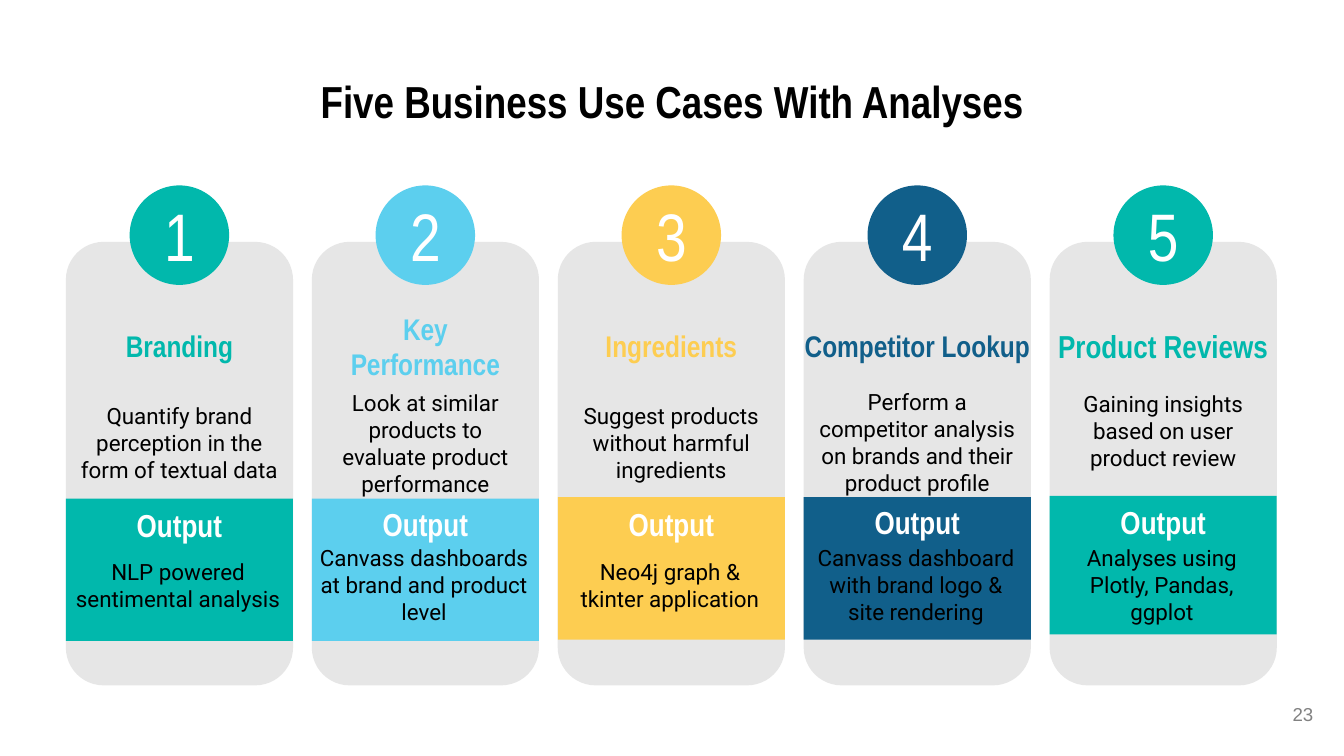
"""Build the slide of five business use cases with their outputs."""
from dataclasses import dataclass

from pptx import Presentation
from pptx.dml.color import RGBColor
from pptx.enum.shapes import MSO_SHAPE as Preset
from pptx.enum.text import MSO_ANCHOR as Anchor, MSO_AUTO_SIZE as AutoSize, PP_ALIGN as Align
from pptx.slide import Slide
from pptx.text.text import TextFrame
from pptx.util import Inches, Pt

TEAL = RGBColor(0x01, 0xB8, 0xAC)
SKY = RGBColor(0x5C, 0xCF, 0xEE)
YELLOW = RGBColor(0xFD, 0xCD, 0x51)
NAVY = RGBColor(0x11, 0x5F, 0x8A)
CARD_GREY = RGBColor(0xE6, 0xE6, 0xE6)
NUMBER_GREY = RGBColor(0x81, 0x81, 0x81)
BLACK = RGBColor(0, 0, 0)
WHITE = RGBColor(0xFF, 0xFF, 0xFF)

HEADING_FONT = "Arial Narrow"
BODY_FONT = "Roboto"
CARD_LEFT = 0.49
CARD_PITCH = 1.83
CARD_WIDTH = 1.69
CIRCLE_SIZE = 0.74


@dataclass(frozen=True)
class UseCase:
    """One column of the slide."""
    name: str
    purpose: str
    output: str
    color: RGBColor
    name_size: int = 16
    name_width: float = CARD_WIDTH
    purpose_height: float = 0.81
    band_top: float = 3.7
    band_height: float = 1.06
    output_top: float = 3.76


USE_CASES = (
    UseCase("Branding", "Quantify brand perception in the form of textual data",
            "NLP powered sentimental analysis", TEAL, band_top=3.71, output_top=3.77),
    UseCase("Key Performance", "Look at similar products to evaluate product performance",
            "Canvass dashboards at brand and product level", SKY, band_top=3.71),
    UseCase("Ingredients", "Suggest products without harmful ingredients",
            "Neo4j graph & tkinter application", YELLOW),
    UseCase("Competitor Lookup",
            "Perform a competitor analysis on brands and their product profile",
            "Canvass dashboard with brand logo & site rendering", NAVY,
            name_width=1.94, purpose_height=0.8, output_top=3.75),
    UseCase("Product Reviews", "Gaining insights based on user product review",
            "Analyses using Plotly, Pandas, ggplot", TEAL, name_size=17, name_width=1.77,
            purpose_height=0.63, band_top=3.69, band_height=1.03, output_top=3.75),
)


def write(frame: TextFrame, text: str, size: int, font: str, color: RGBColor,
          bold: bool = False, align: Align = Align.CENTER, inset: float = 0.05,
          anchor: Anchor = Anchor.MIDDLE) -> None:
    """Fill a text frame with one styled paragraph."""
    frame.word_wrap = True
    frame.auto_size = AutoSize.NONE
    frame.vertical_anchor = anchor
    frame.margin_left = frame.margin_right = Inches(0.1)
    frame.margin_top = frame.margin_bottom = Inches(inset)
    paragraph = frame.paragraphs[0]
    paragraph.text = text
    paragraph.alignment = align
    paragraph.font.name = font
    paragraph.font.size = Pt(size)
    paragraph.font.bold = bold
    paragraph.font.color.rgb = color


def add_label(slide: Slide, center: float, top: float, width: float, height: float,
              text: str, size: int, font: str, color: RGBColor, bold: bool = False) -> None:
    """Add a text box centred on a vertical axis."""
    label = slide.shapes.add_textbox(
        Inches(center - width / 2), Inches(top), Inches(width), Inches(height))
    write(label.text_frame, text, size, font, color, bold)


def add_block(slide: Slide, preset: Preset, center: float, top: float,
              width: float, height: float, color: RGBColor) -> None:
    """Add a plain filled shape centred on a vertical axis."""
    block = slide.shapes.add_shape(
        preset, Inches(center - width / 2), Inches(top), Inches(width), Inches(height))
    block.shadow.inherit = False
    block.fill.solid()
    block.fill.fore_color.rgb = color
    block.line.fill.background()


def add_use_case(slide: Slide, index: int, case: UseCase) -> None:
    """Draw the card, band, number and texts of one use case."""
    center = CARD_LEFT + index * CARD_PITCH + CARD_WIDTH / 2
    add_block(slide, Preset.ROUNDED_RECTANGLE, center, 1.8, CARD_WIDTH, 3.3, CARD_GREY)
    add_block(slide, Preset.RECTANGLE, center, case.band_top, CARD_WIDTH,
              case.band_height, case.color)
    add_block(slide, Preset.OVAL, center, 1.38, CIRCLE_SIZE, CIRCLE_SIZE, case.color)
    add_label(slide, center, 1.47, 0.45, 0.55, str(index + 1), 36, HEADING_FONT, WHITE)
    add_label(slide, center, 2.3, case.name_width, 0.55, case.name, case.name_size,
              HEADING_FONT, case.color, bold=True)
    add_label(slide, center, 2.89, CARD_WIDTH, case.purpose_height, case.purpose, 12,
              BODY_FONT, BLACK)
    add_label(slide, center, case.output_top, CARD_WIDTH, 0.27, "Output", 17,
              HEADING_FONT, WHITE, bold=True)
    add_label(slide, center - 0.01, 4.04, 1.75, 0.62, case.output, 12, BODY_FONT, BLACK)


def main() -> None:
    """Create and save the presentation."""
    deck = Presentation()
    deck.slide_width = Inches(10)
    deck.slide_height = deck.slide_width * 9 // 16
    slide = deck.slides.add_slide(deck.slide_layouts[5])

    title = slide.shapes.title
    title.left, title.top = Inches(0.5), Inches(0.45)
    title.width, title.height = Inches(9), Inches(0.63)
    write(title.text_frame, "Five Business Use Cases With Analyses", 24, HEADING_FONT,
          BLACK, bold=True, inset=0.1, anchor=Anchor.TOP)

    for index, case in enumerate(USE_CASES):
        add_use_case(slide, index, case)

    page_number = slide.shapes.add_textbox(Inches(9.27), Inches(5.1), Inches(0.6), Inches(0.43))
    write(page_number.text_frame, "23", 10, "Arial", NUMBER_GREY, align=Align.RIGHT, inset=0.1)
    deck.save("out.pptx")


if __name__ == "__main__":
    main()
